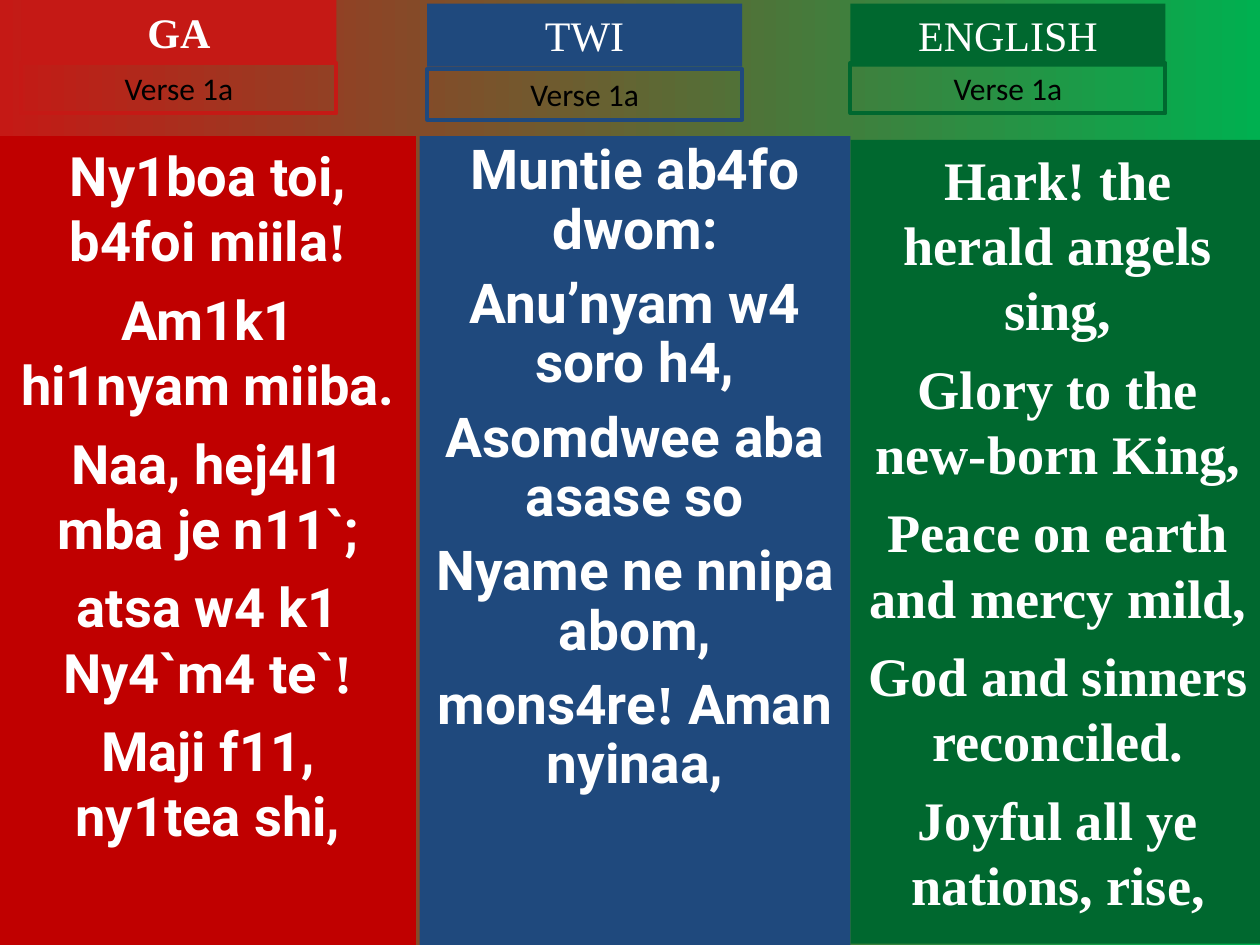
from lxml import etree
from pptx import Presentation
from pptx import util as u
from pptx.dml import color
from pptx.enum import shapes, text
from pptx.oxml import ns

SERIF = "Times New Roman"


def rgb(value):
    return color.RGBColor.from_string(value)


def write(box, lines, font, size, ink, bold=False, before=0, spacing=1.0):
    frame = box.text_frame
    frame.word_wrap = True
    frame.auto_size = text.MSO_AUTO_SIZE.NONE
    frame.vertical_anchor = text.MSO_ANCHOR.TOP
    for number, line in enumerate(lines):
        para = frame.add_paragraph() if number else frame.paragraphs[0]
        para.alignment = text.PP_ALIGN.CENTER
        para.line_spacing = spacing
        para.space_before = u.Pt(before if number else 0)
        if box.is_placeholder:
            properties = para._p.get_or_add_pPr()
            properties.set("marL", "0")
            properties.set("indent", "0")
            etree.SubElement(properties, ns.qn("a:buNone"))
        pieces = [line] if font == SERIF else line.partition("!")
        for piece in filter(None, pieces):
            span = para.add_run()
            span.text = piece
            span.font.name = SERIF if piece == "!" else font
            span.font.size = u.Pt(size)
            span.font.bold = bold
            span.font.color.rgb = rgb(ink)


deck = Presentation()
deck.slide_width, deck.slide_height = u.Inches(10), u.Inches(7.5)
page = deck.slides.add_slide(deck.slide_layouts.get_by_name("Two Content"))
title, ga_body, twi_body = page.placeholders

backdrop = page.background.fill
backdrop.gradient()
backdrop.gradient_angle = 0
for stop, shade in zip(backdrop.gradient_stops, ("C51915", "00B050")):
    stop.color.rgb = rgb(shade)

ga_verse = ["Ny1boa toi, b4foi miila!", "Am1k1 hi1nyam miiba.",
            "Naa, hej4l1 mba je n11`;", "atsa w4 k1 Ny4`m4 te`!",
            "Maji f11, ny1tea shi,"]
twi_verse = ["Muntie ab4fo dwom:", "Anu’nyam w4 soro h4,",
             "Asomdwee aba asase so", "Nyame ne nnipa abom,",
             "mons4re! Aman nyinaa,"]
english_verse = ["Hark! the herald angels sing,", "Glory to the new-born King,",
                 "Peace on earth and mercy mild,", "God and sinners reconciled.",
                 "Joyful all ye nations, rise,"]

verses = [
    (ga_body, (0, 1.08, 3.3, 6.42), "C00000", ga_verse, "Roboto", 31, 7.7, 1.0),
    (twi_body, (3.33, 1.08, 3.42, 6.42), "1F497D", twi_verse, "Roboto", 31.4, 8.5, 0.9),
    (None, (6.75, 1.11, 3.29, 6.38), "00682F", english_verse, SERIF, 31, 7.7, 1.0),
]
for body, place, fill, lines, font, size, before, spacing in verses:
    left, top, width, height = map(u.Inches, place)
    box = body or page.shapes.add_textbox(left, top, width, height)
    box.left, box.top, box.width, box.height = left, top, width, height
    box.fill.solid()
    box.fill.fore_color.rgb = rgb(fill)
    write(box, lines, font, size, "FFFFFF", True, before, spacing)

headings = [
    (title, "GA", 0.17, 0, 0.5, "C51915"),
    (None, "TWI", 3.39, 0.03, 0.55, "1F497D"),
    (None, "ENGLISH", 6.75, 0.03, 0.5, "00682F"),
]
for holder, language, left, top, label_top, shade in headings:
    place = u.Inches(left), u.Inches(top), u.Inches(2.5), u.Inches(0.5)
    heading = holder or page.shapes.add_textbox(*place)
    heading.left, heading.top, heading.width, heading.height = place
    heading.fill.solid()
    heading.fill.fore_color.rgb = rgb(shade)
    write(heading, [language], SERIF, 24, "FFFFFF", holder is title)

    label = page.shapes.add_shape(
        shapes.MSO_SHAPE.RECTANGLE, u.Inches(left), u.Inches(label_top),
        u.Inches(2.5), u.Inches(0.4))
    label.shadow.inherit = False
    label.fill.background()
    label.line.color.rgb = rgb(shade)
    label.line.width = u.Pt(2.25)
    write(label, ["Verse 1a"], "Calibri", 18, "000000")

deck.save("out.pptx")
